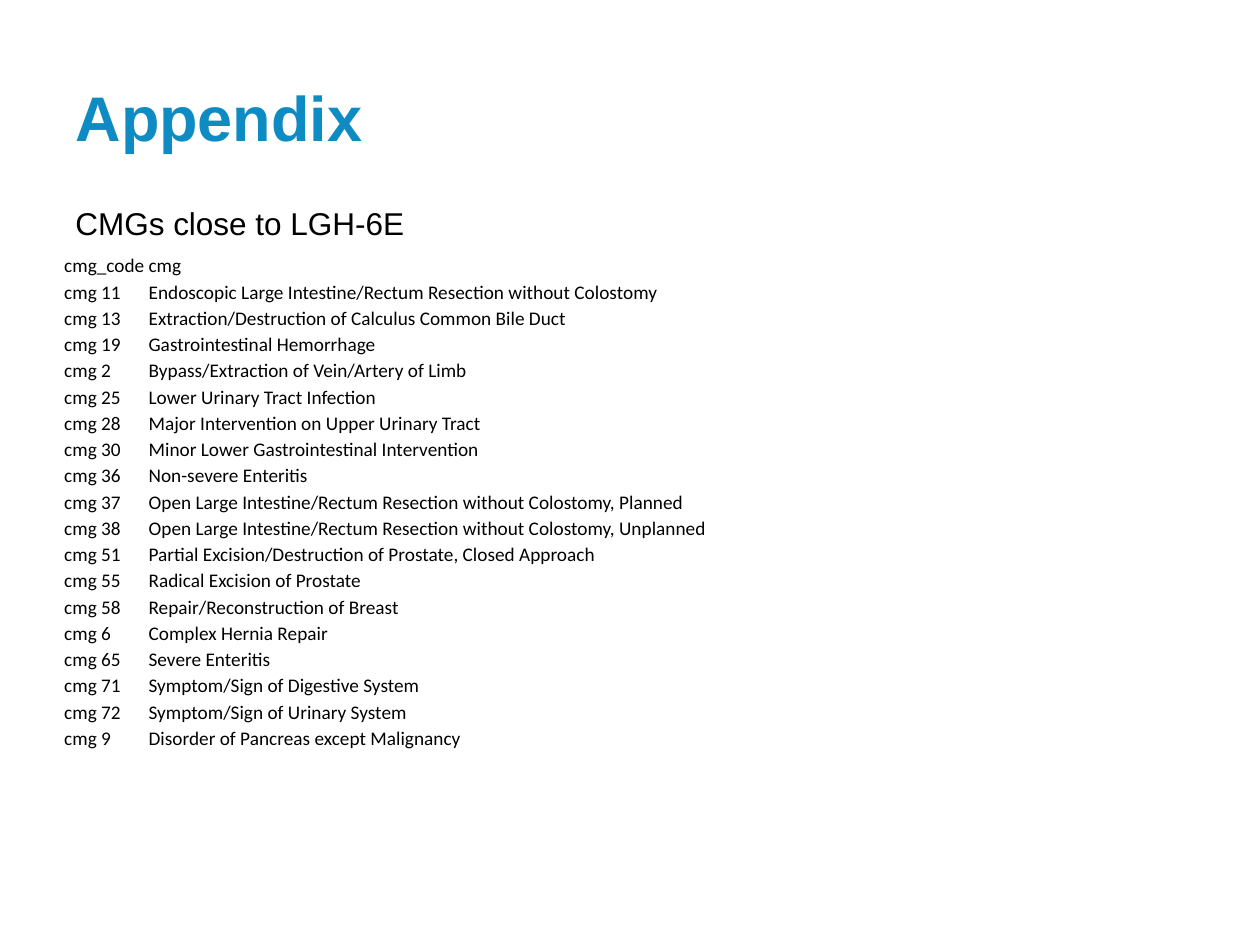
from pptx import Presentation
from pptx.dml.color import RGBColor as RGB
from pptx.enum.text import MSO_ANCHOR as Anchor, MSO_AUTO_SIZE as Fit, PP_ALIGN as Align
from pptx.util import Inches, Pt

COLORS = {"title": "0E8BC2", "text": "000000"}
ROWS = [
    ("cmg_code", "cmg"),
    ("cmg 11", "Endoscopic Large Intestine/Rectum Resection without Colostomy"),
    ("cmg 13", "Extraction/Destruction of Calculus Common Bile Duct"),
    ("cmg 19", "Gastrointestinal Hemorrhage"),
    ("cmg 2", "Bypass/Extraction of Vein/Artery of Limb"),
    ("cmg 25", "Lower Urinary Tract Infection"),
    ("cmg 28", "Major Intervention on Upper Urinary Tract"),
    ("cmg 30", "Minor Lower Gastrointestinal Intervention"),
    ("cmg 36", "Non-severe Enteritis"),
    ("cmg 37", "Open Large Intestine/Rectum Resection without Colostomy, Planned"),
    ("cmg 38", "Open Large Intestine/Rectum Resection without Colostomy, Unplanned"),
    ("cmg 51", "Partial Excision/Destruction of Prostate, Closed Approach"),
    ("cmg 55", "Radical Excision of Prostate"),
    ("cmg 58", "Repair/Reconstruction of Breast"),
    ("cmg 6", "Complex Hernia Repair"),
    ("cmg 65", "Severe Enteritis"),
    ("cmg 71", "Symptom/Sign of Digestive System"),
    ("cmg 72", "Symptom/Sign of Urinary System"),
    ("cmg 9", "Disorder of Pancreas except Malignancy"),
]


def add_run(para, text, size, face, color, bold=False):
    para.alignment = Align.LEFT
    run = para.add_run()
    run.text = text
    run.font.size = Pt(size)
    run.font.name = face
    run.font.bold = bold
    run.font.color.rgb = RGB.from_string(COLORS[color])


deck = Presentation()
deck.slide_width, deck.slide_height = Inches(10), Inches(7.5)
slide = deck.slides.add_slide(deck.slide_layouts[5])

# Table of codes
high = Inches(3.96)
frame = slide.shapes.add_table(len(ROWS), 2, Inches(0.5), Inches(2), Inches(5.49), high)
table = frame.table
table.first_row = table.horz_banding = False
table.columns[0].width = Inches(0.67)
table.columns[1].width = Inches(4.82)
for line, texts in zip(table.rows, ROWS):
    line.height = high // len(ROWS)
    for cell, text in zip(line.cells, texts):
        cell.fill.background()
        cell.vertical_anchor = Anchor.BOTTOM
        cell.margin_left = cell.margin_right = cell.margin_top = Inches(0.01)
        cell.margin_bottom = 0
        add_run(cell.text_frame.paragraphs[0], text, 11, "Calibri", "text")

# Title
title = slide.shapes.title
title.left, title.top = Inches(0.5), Inches(0.3)
title.width, title.height = Inches(9), Inches(1.25)
title.text_frame.vertical_anchor = Anchor.MIDDLE
add_run(title.text_frame.paragraphs[0], "Appendix", 36, "Arial", "title", True)

# Table heading
box = slide.shapes.add_textbox(Inches(0.5), Inches(1.57), Inches(2.84), Inches(0.4))
box.text_frame.word_wrap = False
box.text_frame.auto_size = Fit.SHAPE_TO_FIT_TEXT
add_run(box.text_frame.paragraphs[0], "CMGs close to LGH-6E", 18, "Arial", "text")

deck.save("out.pptx")
